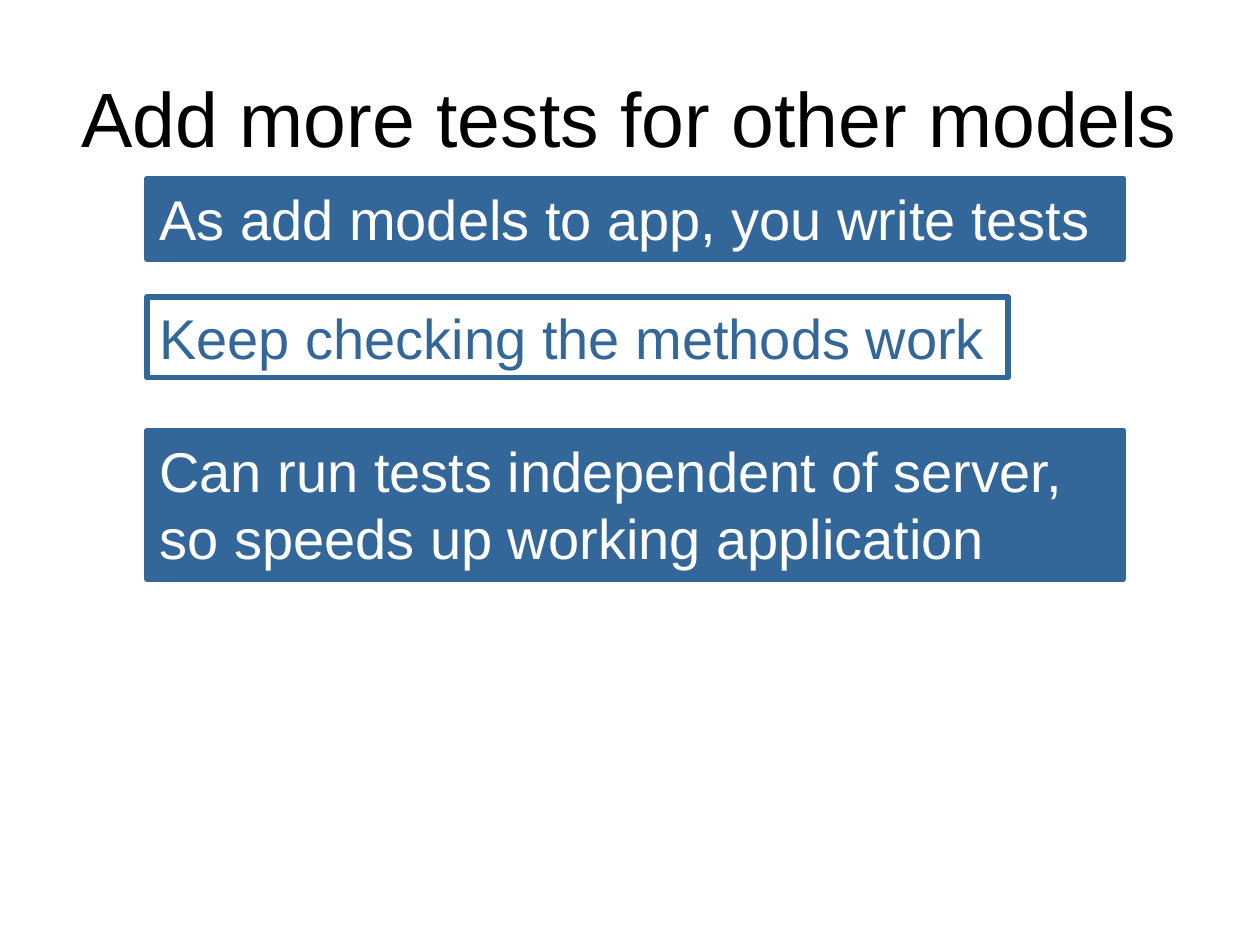
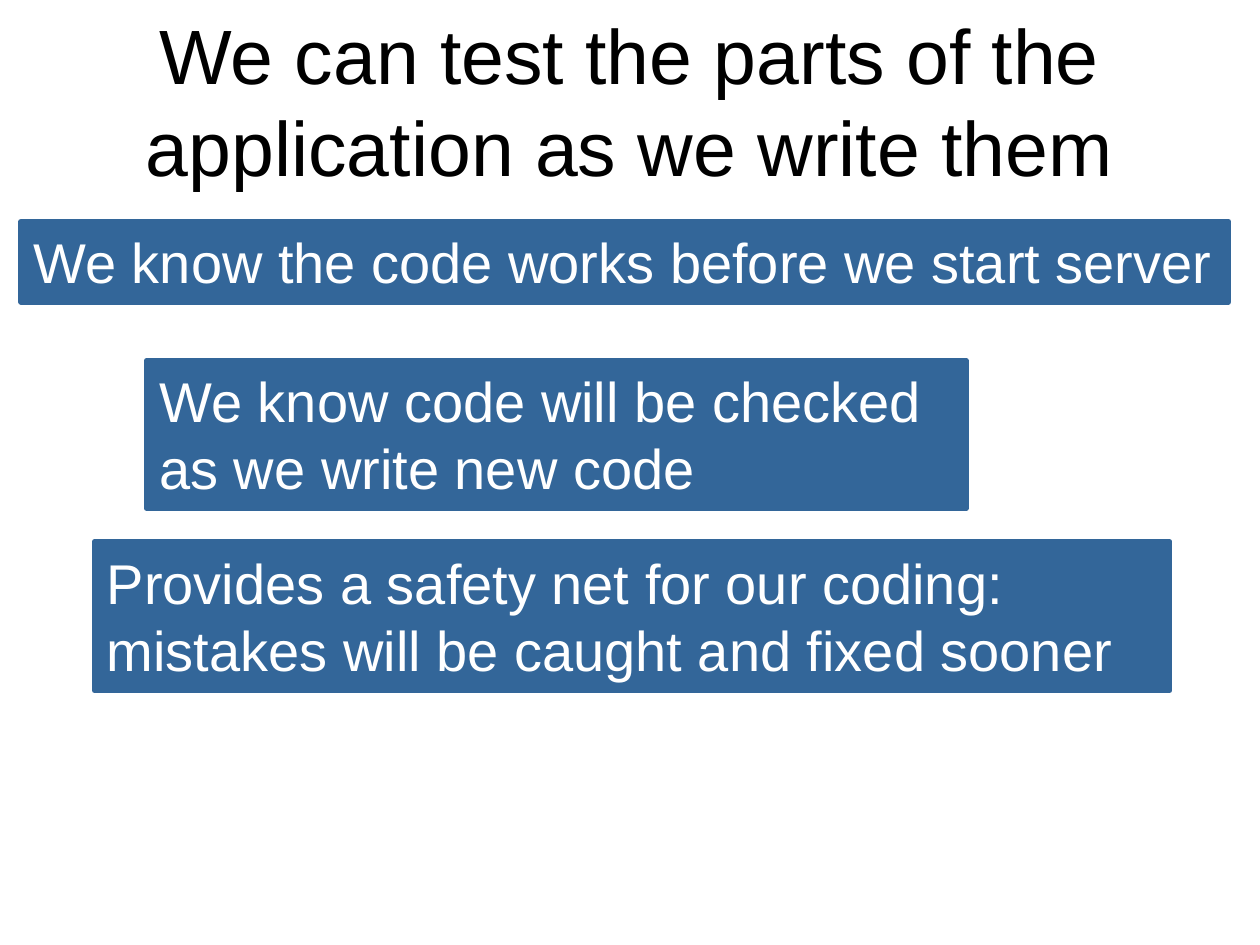
from pptx import Presentation
from pptx.dml.color import RGBColor
from pptx.enum.shapes import MSO_SHAPE as Shape
from pptx.enum.text import MSO_ANCHOR as Anchor, PP_ALIGN as Align
from pptx.util import Inches, Pt

COLUMNS, ROWS = 120, 90
WIDTH, HEIGHT = Inches(10), Inches(7.5)
BLUE, WHITE, BLACK = "336699", "FFFFFF", "000000"
FONT = "Arial"
LINE_ROWS, PADDING_ROWS = 6.48, 1.2

SLIDES = [
    ("Add more tests for other models", 3.6, [
        (14, 17, 93, 1, "As add models to app, you write tests", False),
        (14, 28.3, 82, 1, "Keep checking the methods work", True),
        (14, 41, 93, 2, "Can run tests independent of server, "
                        "so speeds up working application", False),
    ]),
    ("We can test the parts of the application as we write them", 2, [
        (2, 21.1, 115, 1, "We know the code works before we start server", False),
        (14, 34.3, 78, 2, "We know code will be checked as we write new code", False),
        (9, 51.6, 102.4, 2, "Provides a safety net for our coding:\n"
                            "mistakes will be caught and fixed sooner", False),
    ]),
]


def color(hex_code):
    return RGBColor.from_string(hex_code)


def grid_box(column, row, columns, rows):
    return (int(WIDTH * column / COLUMNS), int(HEIGHT * row / ROWS),
            int(WIDTH * columns / COLUMNS), int(HEIGHT * rows / ROWS))


def write(holder, text, size, ink, align=Align.LEFT, anchor=Anchor.TOP):
    frame = holder.text_frame
    frame.word_wrap = True
    frame.vertical_anchor = anchor
    frame.text = text
    for paragraph in frame.paragraphs:
        paragraph.alignment = align
        paragraph.font.name = FONT
        paragraph.font.size = Pt(size)
        paragraph.font.color.rgb = color(ink)


def add_title(slide, text, box):
    write(slide.shapes.add_textbox(*box), text, size=44, ink=BLACK,
          align=Align.CENTER, anchor=Anchor.MIDDLE)


def add_callout(slide, text, box, outlined):
    fill, ink = (WHITE, BLUE) if outlined else (BLUE, WHITE)
    callout = slide.shapes.add_shape(Shape.RECTANGLE, *box)
    callout.shadow.inherit = False
    callout.fill.solid()
    callout.fill.fore_color.rgb = color(fill)
    callout.line.color.rgb = color(BLUE)
    callout.line.width = Pt(3)
    write(callout, text, size=32, ink=ink)


def add_callout_slide(deck, title, title_row, callouts):
    slide = deck.slides.add_slide(deck.slide_layouts[6])
    add_title(slide, title, grid_box(6, title_row, 108, 15))
    for column, row, columns, lines, text, outlined in callouts:
        rows = PADDING_ROWS + lines * LINE_ROWS
        add_callout(slide, text, grid_box(column, row, columns, rows), outlined)


def main():
    deck = Presentation()
    deck.slide_width, deck.slide_height = WIDTH, HEIGHT
    for title, title_row, callouts in SLIDES:
        add_callout_slide(deck, title, title_row, callouts)
    deck.save("out.pptx")


if __name__ == "__main__":
    main()
